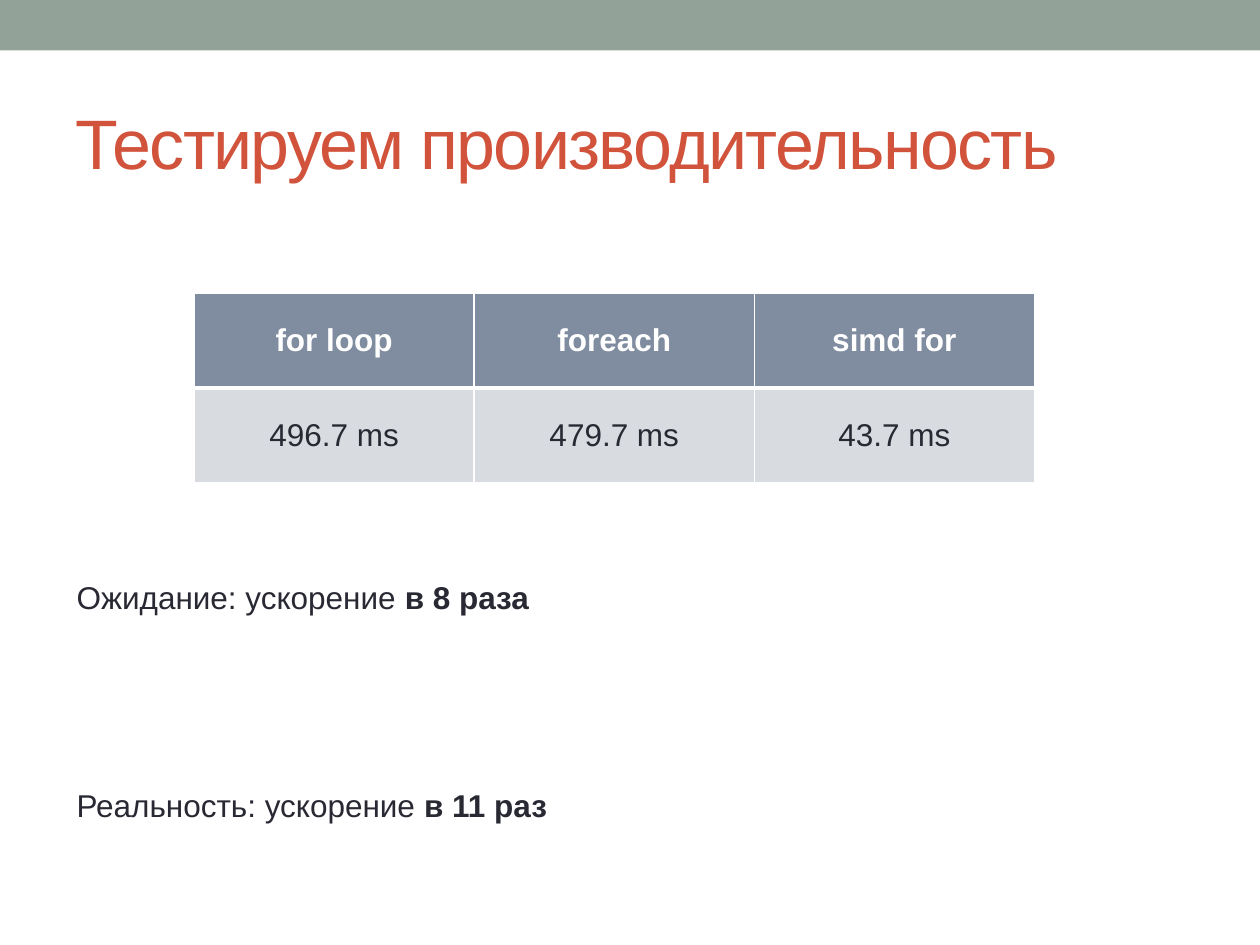
from dataclasses import dataclass

from lxml.etree import SubElement
from pptx import Presentation
from pptx.dml.color import RGBColor
from pptx.enum.shapes import MSO_SHAPE
from pptx.enum.text import MSO_ANCHOR, MSO_AUTO_SIZE, PP_ALIGN
from pptx.oxml.ns import qn
from pptx.util import Inches, Pt


@dataclass(frozen=True)
class Theme:
    font: str = "Arial"
    title_size: int = 40
    body_size: int = 18
    band: str = "93A299"
    accent: str = "D2533C"
    text: str = "292934"
    white: str = "FFFFFF"
    header: str = "808DA0"
    cell: str = "D8DBDF"


class SlideBuilder:
    def __init__(self, slide, theme):
        self.s, self.theme = slide, theme

    def run(self, p, text, color, size=None, bold=False):
        r = p.add_run()
        r.text = text
        style = {"name": self.theme.font, "size": Pt(size or self.theme.body_size), "bold": bold}
        for name, value in style.items():
            setattr(r.font, name, value)
        r.font.color.rgb = RGBColor.from_string(color)
        return r

    def band(self, *box):
        sp = self.s.shapes.add_shape(MSO_SHAPE.RECTANGLE, *map(Inches, box))
        sp.shadow.inherit = False
        sp.fill.solid()
        sp.fill.fore_color.rgb = RGBColor.from_string(self.theme.band)
        sp.line.fill.background()

    def title(self, text, *box):
        sp = self.s.shapes.title
        for name, value in zip(("left", "top", "width", "height"), box):
            setattr(sp, name, Inches(value))
        tf = sp.text_frame
        for name, value in {"vertical_anchor": MSO_ANCHOR.MIDDLE, "word_wrap": True,
                            "auto_size": MSO_AUTO_SIZE.NONE}.items():
            setattr(tf, name, value)
        p = tf.paragraphs[0]
        p.alignment = PP_ALIGN.LEFT
        r = self.run(p, text, self.theme.accent, self.theme.title_size)
        r.font._element.set("spc", "-100")

    def note(self, lead, strong, *box):
        tf = self.s.shapes.add_textbox(*map(Inches, box)).text_frame
        tf.word_wrap = False
        tf.auto_size = MSO_AUTO_SIZE.SHAPE_TO_FIT_TEXT
        p = tf.paragraphs[0]
        self.run(p, lead, self.theme.text)
        self.run(p, strong, self.theme.text, bold=True)

    def borders(self, cell, widths):
        tc_pr = cell._tc.get_or_add_tcPr()
        for side, width in widths.items():
            ln = SubElement(tc_pr, qn(f"a:ln{side}"), w=str(Pt(width)))
            fill = SubElement(ln, qn("a:solidFill"))
            SubElement(fill, qn("a:srgbClr"), val=self.theme.white)

    def table(self, rows, *box):
        shape = self.s.shapes.add_table(len(rows), len(rows[0]), *map(Inches, box))
        for i, row in enumerate(rows):
            head = i == 0
            fill, color = ((self.theme.header, self.theme.white) if head
                           else (self.theme.cell, self.theme.text))
            # The rule under the header is thicker than the rest
            widths = {"L": 1, "R": 1, "T": 1 if head else 3, "B": 3 if head else 1}
            for j, text in enumerate(row):
                cell = shape.table.cell(i, j)
                self.borders(cell, widths)
                cell.fill.solid()
                cell.fill.fore_color.rgb = RGBColor.from_string(fill)
                cell.vertical_anchor = MSO_ANCHOR.MIDDLE
                p = cell.text_frame.paragraphs[0]
                p.alignment = PP_ALIGN.CENTER
                self.run(p, text, color, bold=head)


prs = Presentation()
prs.slide_width, prs.slide_height = Inches(10), Inches(7.5)
s = SlideBuilder(prs.slides.add_slide(prs.slide_layouts[5]), Theme())

# Top band and title
s.band(0, 0, 10, 0.4)
s.title("Тестируем производительность", 0.5, 0.58, 9, 1.08)

# Timings
s.table([("for loop", "foreach", "simd for"),
         ("496.7 ms", "479.7 ms", "43.7 ms")], 1.54, 2.33, 6.67, 1.5)

# Expected and measured speed-up
s.note("Ожидание: ускорение ", "в 8 раза", 0.51, 4.54, 3.83, 0.4)
s.note("Реальность: ускорение ", "в 11 раз", 0.51, 6.19, 3.97, 0.4)

prs.save("out.pptx")
